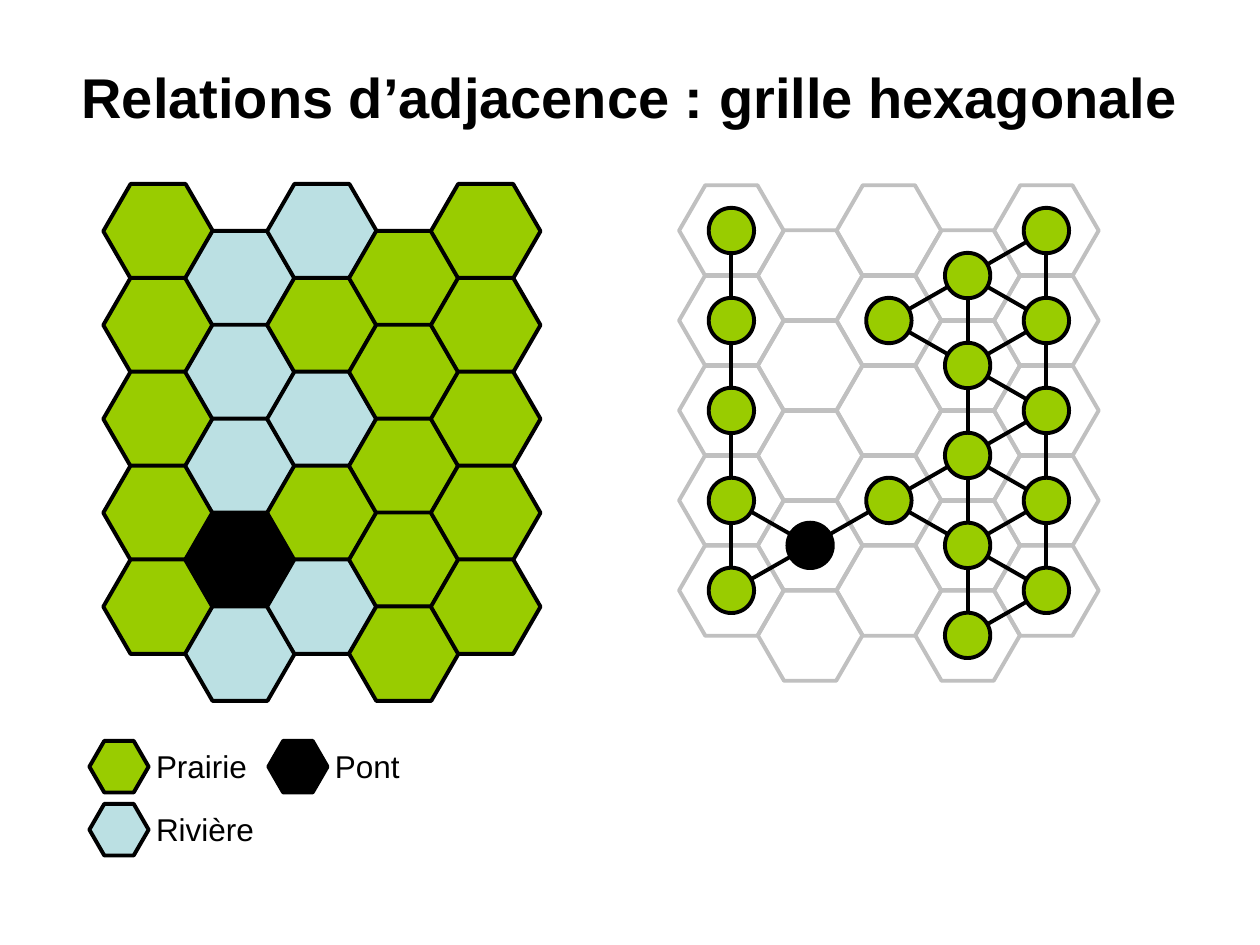
import math
from itertools import combinations

from lxml import etree
from pptx import Presentation
from pptx import util as u
from pptx.dml.color import RGBColor
from pptx.enum import shapes, text
from pptx.oxml.ns import qn

BLACK = RGBColor(0x00, 0x00, 0x00)
GREEN = RGBColor(0x99, 0xCC, 0x00)
BLUE = RGBColor(0xBB, 0xE0, 0xE3)
GREY = RGBColor(0xC0, 0xC0, 0xC0)

# One string per column, top to bottom: Prairie, Rivière, Bridge
TERRAIN = ["PPPPP", "RRRBR", "RPRPR", "PPPPP", "PPPPP"]
FILLS = {"P": GREEN, "R": BLUE, "B": BLACK}
CELLS = [(c, r) for c, column in enumerate(TERRAIN) for r in range(len(column))]


class Board:
    font = "Arial"
    line_width = u.Pt(2.25)

    def __init__(self, slide):
        self.s = slide

    def shape(self, kind, x, y, w, h, fill=None, line=BLACK):
        sp = self.s.shapes.add_shape(kind, *map(u.Inches, (x, y, w, h)))
        sp.shadow.inherit = False
        if fill is None:
            sp.fill.background()
        else:
            sp.fill.solid()
            sp.fill.fore_color.rgb = fill
        sp.line.color.rgb = line
        sp.line.width = self.line_width
        return sp

    def hexagon(self, x, y, w, h, fill=None, line=BLACK):
        sp = self.shape(shapes.MSO_SHAPE.HEXAGON, x, y, w, h, fill, line)
        sp.adjustments[0] = 0.289

    def node(self, x, y, radius, fill):
        self.shape(shapes.MSO_SHAPE.OVAL, x - radius, y - radius,
                   2 * radius, 2 * radius, fill)

    def edge(self, start, end, radius):
        """Join two nodes from rim to rim."""
        (x1, y1), (x2, y2) = start, end
        ratio = radius / math.dist(start, end)
        dx, dy = (x2 - x1) * ratio, (y2 - y1) * ratio
        ends = (x1 + dx, y1 + dy, x2 - dx, y2 - dy)
        cn = self.s.shapes.add_connector(
            shapes.MSO_CONNECTOR.STRAIGHT, *map(u.Inches, ends))
        cn.line.color.rgb = BLACK
        cn.line.width = self.line_width
        etree.SubElement(cn._element.spPr, qn("a:effectLst"))

    def label(self, words, x, y, w, h, size, bold=False, align=text.PP_ALIGN.LEFT,
              anchor=text.MSO_ANCHOR.TOP):
        tf = self.s.shapes.add_textbox(*map(u.Inches, (x, y, w, h))).text_frame
        tf.word_wrap = True
        tf.vertical_anchor = anchor
        tf.text = words
        p = tf.paragraphs[0]
        p.alignment = align
        font = p.runs[0].font
        font.name, font.size, font.bold = self.font, u.Pt(size), bold
        font.color.rgb = BLACK


def cell_origin(cell, left, top, dx, dy):
    """Odd columns sit half a cell lower."""
    c, r = cell
    return left + c * dx, top + (r + c % 2 / 2) * dy


def adjacent(a, b):
    (c1, r1), (c2, r2) = a, b
    if c1 == c2:
        return abs(r1 - r2) == 1
    drop = (r2 + c2 % 2 / 2) - (r1 + c1 % 2 / 2)
    return abs(c1 - c2) == 1 and abs(drop) == 0.5


def main():
    prs = Presentation()
    prs.slide_width, prs.slide_height = u.Inches(10), u.Inches(7.5)
    board = Board(prs.slides.add_slide(prs.slide_layouts[6]))

    # Title
    board.label("Relations d’adjacence : grille hexagonale", 0.5, 0.3, 9, 0.93, 32,
                bold=True, align=text.PP_ALIGN.CENTER, anchor=text.MSO_ANCHOR.MIDDLE)

    # Terrain map
    for c, r in CELLS:
        x, y = cell_origin((c, r), 0.82, 1.46, 0.65, 0.745)
        board.hexagon(x, y, 0.87, 0.75, FILLS[TERRAIN[c][r]])

    # Faint grid behind the graph
    w, h, radius = 0.83, 0.72, 0.18
    centres = {}
    for c, r in CELLS:
        x, y = cell_origin((c, r), 5.39, 1.47, 0.625, 0.714)
        board.hexagon(x, y, w, h, line=GREY)
        if TERRAIN[c][r] != "R":
            centres[c, r] = (x + w / 2, y + h / 2)

    # Graph of the cells that can be crossed
    for (c, r), (x, y) in centres.items():
        board.node(x, y, radius, FILLS[TERRAIN[c][r]])
    for a, b in combinations(centres, 2):
        if adjacent(a, b):
            board.edge(centres[a], centres[b], radius)

    # Legend
    for words, kind, x, y in [("Prairie", "P", 0.71, 5.88), ("Rivière", "R", 0.71, 6.38),
                              ("Pont", "B", 2.13, 5.88)]:
        board.label(words, x + 0.43, y, 1.97, 0.4, 18)
        board.hexagon(x, y, 0.47, 0.41, FILLS[kind])

    prs.save("out.pptx")


if __name__ == "__main__":
    main()
